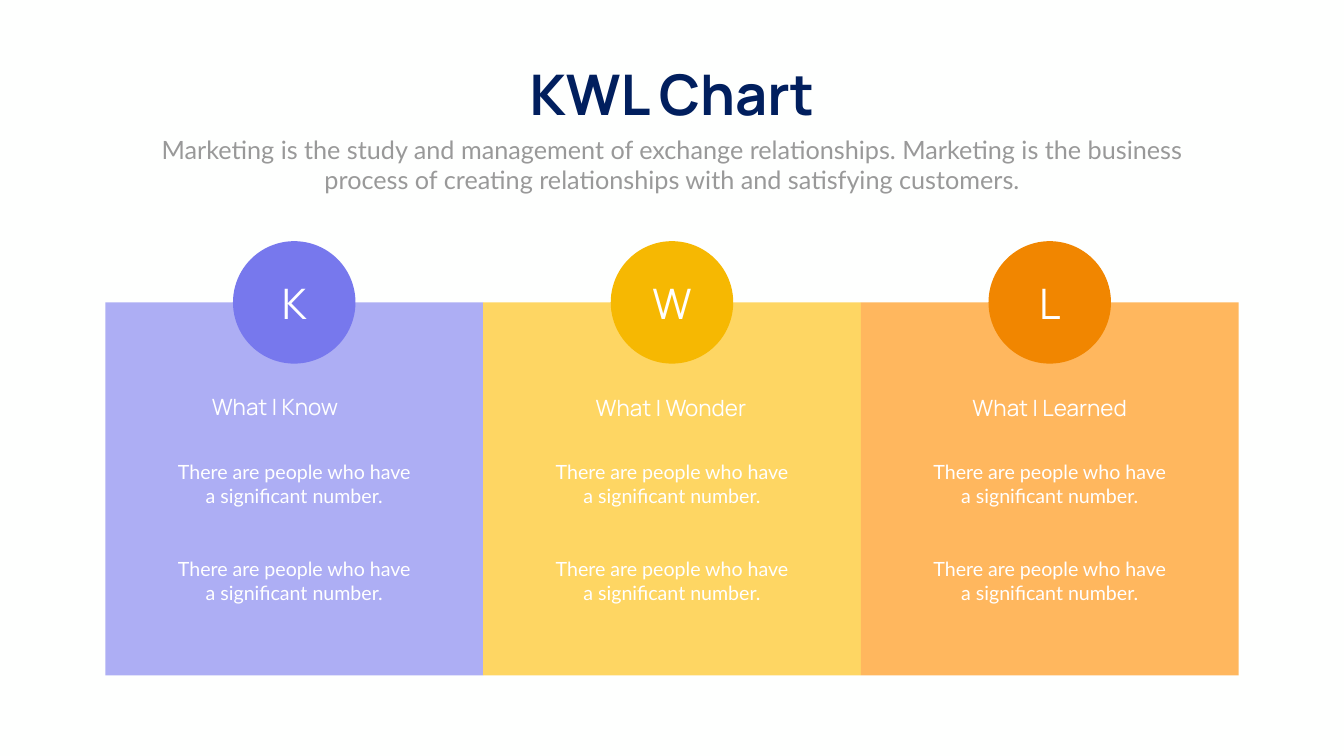
from dataclasses import dataclass

from pptx import Presentation
from pptx.dml.color import RGBColor
from pptx.enum.shapes import MSO_SHAPE
from pptx.enum.text import MSO_ANCHOR, PP_ALIGN
from pptx.util import Inches, Pt


@dataclass(frozen=True)
class Theme:
    background: str = "FEFFFE"
    title: str = "011F5E"
    subtitle: str = "999999"
    light: str = "FFFFFF"
    heading_font: str = "Manrope"
    body_font: str = "Lato"
    title_size: int = 80
    letter_size: int = 60
    subtitle_size: int = 36
    heading_size: int = 32
    body_size: int = 28


@dataclass(frozen=True)
class Column:
    letter: str
    heading: str
    panel_color: str
    badge_color: str
    heading_shift: tuple  # right and down from the centred position


THEME = Theme()
NOTE = "There are people who have a significant number."
COLUMNS = [
    Column("K", "What I Know", "ADAEF4", "7778ED", (-0.38, -0.03)),
    Column("W", "What I Wonder", "FED663", "F6B802", (-0.02, 0)),
    Column("L", "What I Learned", "FFB75E", "F18600", (0, 0)),
]


def write(shape, text, size, font, color, bold=False, wrap=True):
    frame = shape.text_frame
    frame.word_wrap = wrap
    frame.vertical_anchor = MSO_ANCHOR.MIDDLE
    frame.margin_top = frame.margin_bottom = Inches(0.05)
    paragraph = frame.paragraphs[0]
    paragraph.text = text
    paragraph.alignment = PP_ALIGN.CENTER
    paragraph.font.size = Pt(size)
    paragraph.font.name = font
    paragraph.font.bold = bold
    paragraph.font.color.rgb = RGBColor.from_string(color)


def add_text(slide, box, *style, **options):
    shape = slide.shapes.add_textbox(*map(Inches, box))
    write(shape, *style, **options)


def add_filled(slide, preset, box, color):
    shape = slide.shapes.add_shape(preset, *map(Inches, box))
    shape.shadow.inherit = False
    shape.fill.solid()
    shape.fill.fore_color.rgb = RGBColor.from_string(color)
    shape.line.fill.background()
    return shape


def add_header(slide, left, top, width):
    title_width = 6.25
    title_left = left + (width - title_width) / 2
    add_text(slide, (title_left, top, title_width, 1.45), "KWL Chart",
             THEME.title_size, THEME.heading_font, THEME.title,
             bold=True, wrap=False)
    add_text(slide, (left, top + 1.49, width, 1.31),
             "Marketing is the study and management of exchange relationships. "
             "Marketing is the business process of creating relationships "
             "with and satisfying customers.",
             THEME.subtitle_size, THEME.body_font, THEME.subtitle)


def add_column(slide, column, left, top, width, height):
    center = left + width / 2

    # Panel with the badge centred on its top edge
    add_filled(slide, MSO_SHAPE.RECTANGLE, (left, top, width, height),
               column.panel_color)
    diameter = 2.43
    badge = add_filled(slide, MSO_SHAPE.OVAL,
                       (center - diameter / 2, top - diameter / 2,
                        diameter, diameter), column.badge_color)
    write(badge, column.letter, THEME.letter_size, THEME.heading_font,
          THEME.light)

    # Heading
    shift_x, shift_y = column.heading_shift
    heading_width = 4.77
    add_text(slide, (center - heading_width / 2 + shift_x, top + 1.77 + shift_y,
                     heading_width, 0.64),
             column.heading, THEME.heading_size, THEME.heading_font, THEME.light)

    # Notes
    note_width = 4.94
    for offset in (3.08, 5):
        add_text(slide, (center - note_width / 2, top + offset, note_width, 1.04),
                 NOTE, THEME.body_size, THEME.body_font, THEME.light)


def add_columns(slide, left, top, width, height):
    column_width = width / len(COLUMNS)
    for index, column in enumerate(COLUMNS):
        add_column(slide, column, left + index * column_width, top,
                   column_width, height)


def main():
    presentation = Presentation()
    presentation.slide_width = Inches(26.66)
    presentation.slide_height = Inches(15)
    slide = presentation.slides.add_slide(presentation.slide_layouts[6])
    slide.background.fill.solid()
    slide.background.fill.fore_color.rgb = RGBColor.from_string(THEME.background)

    add_header(slide, 2.92, 1.12, 20.82)
    add_columns(slide, 2.09, 6, 22.48, 7.4)
    presentation.save("out.pptx")


if __name__ == "__main__":
    main()
